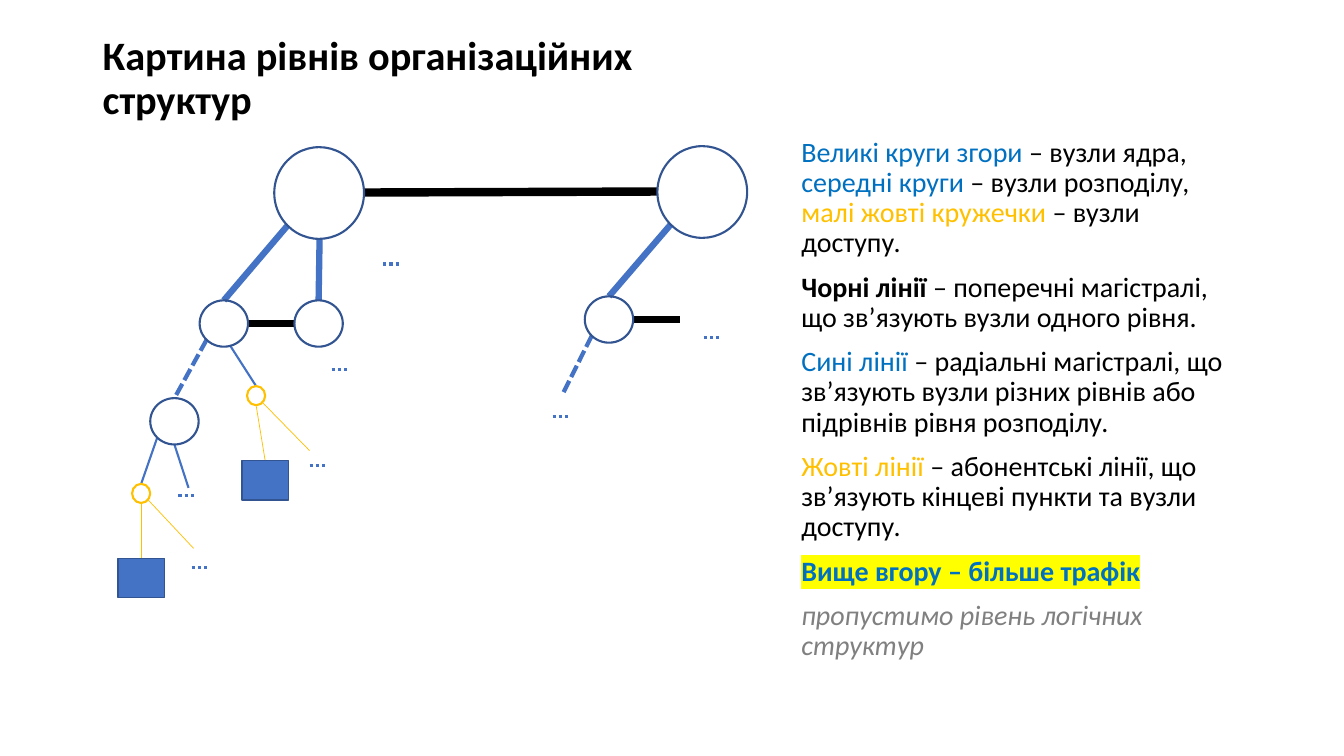
from lxml import etree
from pptx import Presentation
from pptx.dml.color import RGBColor
from pptx.enum.dml import MSO_LINE_DASH_STYLE as DASH
from pptx.enum.shapes import MSO_CONNECTOR, MSO_SHAPE
from pptx.enum.text import MSO_ANCHOR
from pptx.oxml.ns import qn
from pptx.util import Inches, Pt

COLORS = {
    "black": "000000", "blue": "4472C4", "outline": "325491", "yellow": "FFC000",
    "text_blue": "0070C0", "gray": "808080", "marker": "FFFF00",
}

# Line kinds: colour, width in points, dash
CORE_TRUNK = ("black", 6, None)
CROSS_TRUNK = ("black", 4.5, None)
RADIAL_TRUNK = ("blue", 4.5, None)
SUBLEVEL_TRUNK = ("blue", 3, DASH.SQUARE_DOT)
ACCESS_LINK = ("blue", 1.5, None)
SUBSCRIBER = ("yellow", 0.5, None)
ELLIPSIS = ("blue", 2.25, DASH.ROUND_DOT)

LINKS = [
    (CORE_TRUNK, [(3.61, 1.91, 6.52, 1.9)]),
    (CROSS_TRUNK, [(2.46, 3.21, 2.92, 3.21), (6.28, 3.17, 6.74, 3.17)]),
    (RADIAL_TRUNK, [(2.85, 2.24, 2.22, 2.98), (3.17, 2.37, 3.16, 2.98),
                    (6.65, 2.23, 6.04, 2.94)]),
    (SUBLEVEL_TRUNK, [(2.05, 3.37, 1.73, 3.95), (5.87, 3.33, 5.58, 3.91)]),
    (ACCESS_LINK, [(1.56, 4.34, 1.4, 4.8), (1.73, 4.41, 1.87, 4.84),
                   (2.29, 3.44, 2.54, 3.83)]),
    (SUBSCRIBER, [(1.47, 4.96, 1.92, 5.44), (1.4, 4.99, 1.4, 5.54),
                  (2.54, 4.02, 2.63, 4.57), (2.6, 3.99, 3.07, 4.47)]),
]
ELLIPSES_AT = [(1.77, 4.92), (1.9, 5.63), (3.07, 4.62), (6.98, 3.35),
               (5.48, 4.13), (3.8, 2.62), (3.29, 3.67)]
ELLIPSIS_WIDTH = 0.18

# Node kinds: shape, width, height, fill, line colour, line width
CORE = (MSO_SHAPE.OVAL, 0.89, 0.91, None, "outline", 1.5)
DISTRIBUTION = (MSO_SHAPE.OVAL, 0.48, 0.46, None, "outline", 1.5)
ACCESS = (MSO_SHAPE.OVAL, 0.18, 0.19, None, "yellow", 1.5)
TERMINAL = (MSO_SHAPE.RECTANGLE, 0.46, 0.39, "blue", "outline", 1)

NODES = [
    (CORE, [(2.72, 1.46), (6.52, 1.45)]),
    (DISTRIBUTION, [(1.98, 2.98), (1.49, 3.95), (5.8, 2.94), (2.92, 2.98)]),
    (ACCESS, [(1.31, 4.8), (2.45, 3.83)]),
    (TERMINAL, [(1.17, 5.54), (2.4, 4.57)]),
]

TITLE = [[("Картина рівнів організаційних структур", "black", {"bold": True})]]
LEGEND = [
    [("Великі круги згори ", "text_blue", {}), ("– вузли ядра, ", "black", {}),
     ("середні круги ", "text_blue", {}), ("– вузли розподілу, \n", "black", {}),
     ("малі жовті кружечки ", "yellow", {}), ("– вузли доступу.", "black", {})],
    [("Чорні лінії ", "black", {"bold": True}),
     ("– поперечні магістралі, що зв’язують вузли одного рівня.", "black", {})],
    [("Сині лінії ", "text_blue", {}),
     ("– радіальні магістралі, що зв’язують вузли різних рівнів або "
      "підрівнів рівня розподілу.", "black", {})],
    [("Жовті лінії ", "yellow", {}),
     ("– абонентські лінії, що зв’язують кінцеві пункти та вузли доступу.",
      "black", {})],
    [("Вище вгору – більше трафік", "text_blue",
      {"bold": True, "highlight": "marker"})],
    [("пропустимо рівень логічних структур", "gray", {"italic": True})],
]


def rgb(name):
    return RGBColor.from_string(COLORS[name])


def add_link(slide, kind, x1, y1, x2, y2):
    color, width, dash = kind
    line = slide.shapes.add_connector(
        MSO_CONNECTOR.STRAIGHT, Inches(x1), Inches(y1), Inches(x2), Inches(y2))
    line.line.color.rgb = rgb(color)
    line.line.width = Pt(width)
    if dash:
        line.line.dash_style = dash
    etree.SubElement(line._element.spPr, qn("a:effectLst"))


def add_node(slide, kind, x, y):
    shape, width, height, fill, color, weight = kind
    sp = slide.shapes.add_shape(
        shape, Inches(x), Inches(y), Inches(width), Inches(height))
    sp.shadow.inherit = False
    if fill:
        sp.fill.solid()
        sp.fill.fore_color.rgb = rgb(fill)
    else:
        sp.fill.background()
    sp.line.color.rgb = rgb(color)
    sp.line.width = Pt(weight)


def highlight(r, name):
    """Put a marker colour behind a run whose font colour is already set."""
    mark = etree.Element(qn("a:highlight"))
    etree.SubElement(mark, qn("a:srgbClr"), val=COLORS[name])
    r.font._element.find(qn("a:solidFill")).addnext(mark)


def add_run(p, text, size, color, style):
    r = p.add_run()
    r.text = text.rstrip("\n")
    fmt = {"name": "Calibri", "size": Pt(size), **style}
    marker = fmt.pop("highlight", None)
    for key, value in fmt.items():
        setattr(r.font, key, value)
    r.font.color.rgb = rgb(color)
    if marker:
        highlight(r, marker)
    if text.endswith("\n"):
        p.add_line_break()


def add_text(slide, box, paragraphs, size, anchor, space_before):
    tf = slide.shapes.add_textbox(*map(Inches, box)).text_frame
    tf.word_wrap = True
    tf.vertical_anchor = anchor
    for i, runs in enumerate(paragraphs):
        p = tf.add_paragraph() if i else tf.paragraphs[0]
        p.line_spacing = 0.9
        p.space_before = Pt(space_before)
        for text, color, style in runs:
            add_run(p, text, size, color, style)


def main():
    prs = Presentation()
    prs.slide_width, prs.slide_height = Inches(13.33), Inches(7.5)
    slide = prs.slides.add_slide(prs.slide_layouts[6])
    add_text(slide, (0.92, 0.5, 6.82, 0.77), TITLE, 28.8, MSO_ANCHOR.BOTTOM, 0)
    add_text(slide, (7.85, 1.32, 4.57, 5.77), LEGEND, 20, MSO_ANCHOR.TOP, 10)
    for kind, links in LINKS:
        for ends in links:
            add_link(slide, kind, *ends)
    for x, y in ELLIPSES_AT:
        add_link(slide, ELLIPSIS, x, y, x + ELLIPSIS_WIDTH, y)
    for kind, places in NODES:
        for place in places:
            add_node(slide, kind, *place)
    prs.save("out.pptx")


if __name__ == "__main__":
    main()
